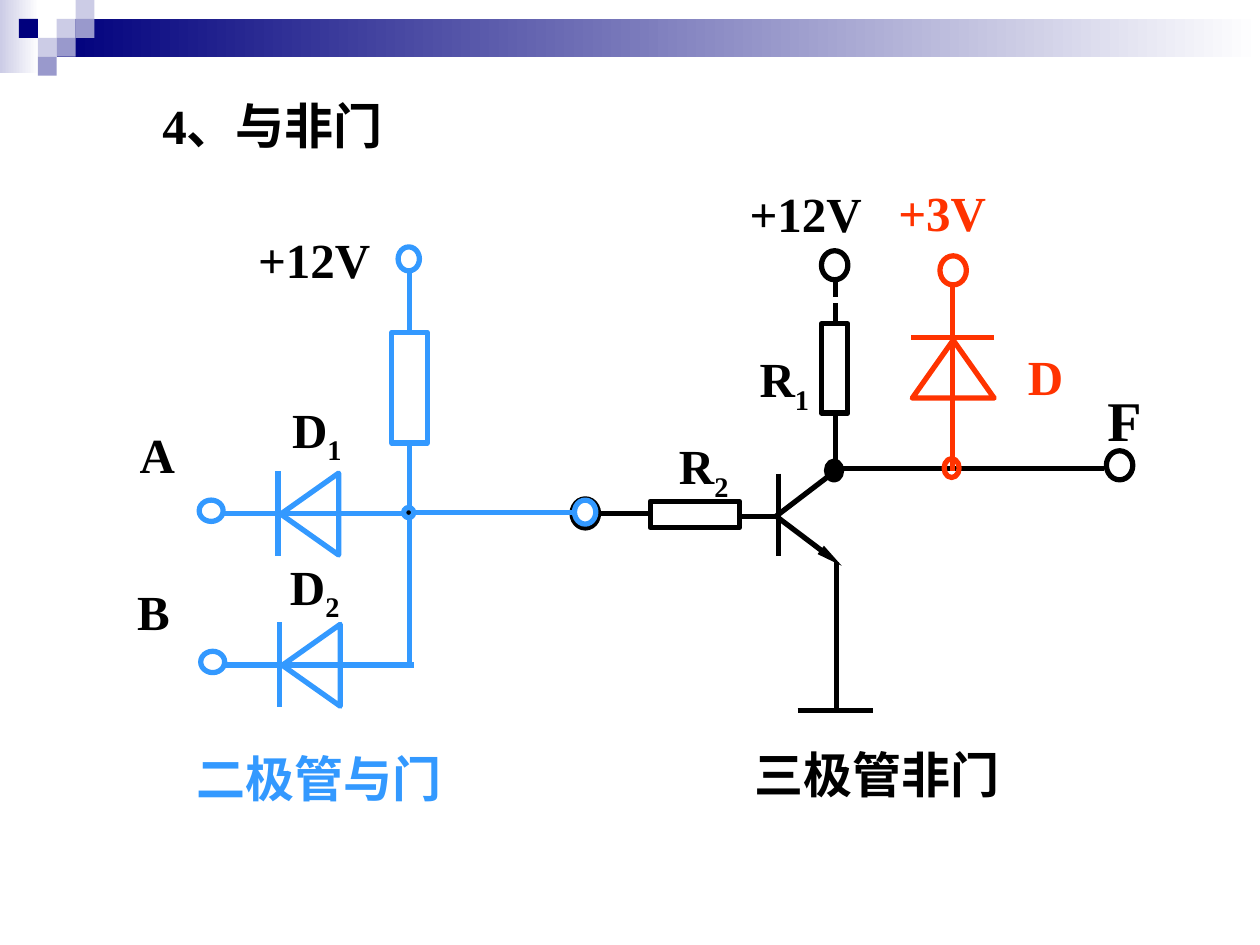
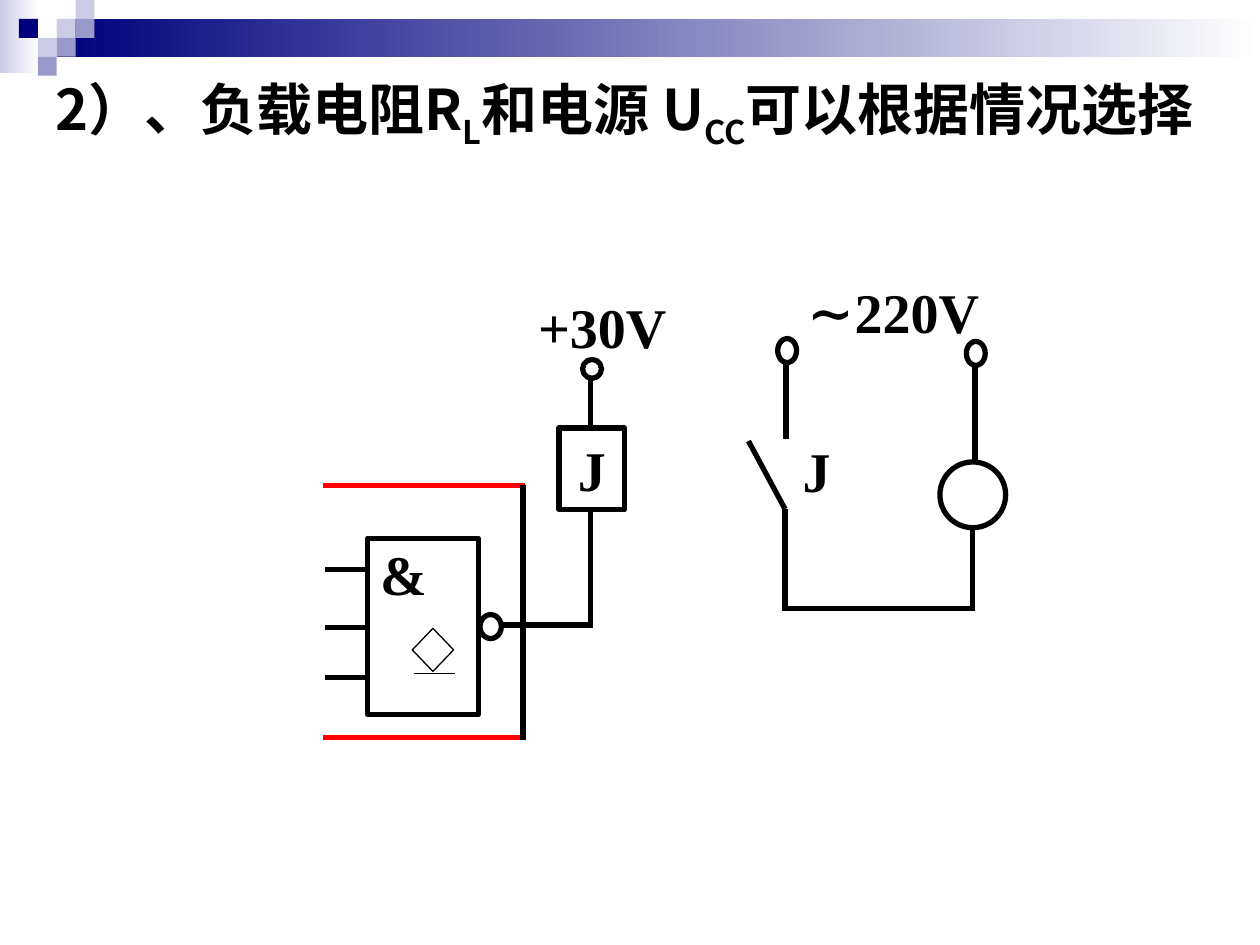
from dataclasses import dataclass
from typing import Optional, Union

import pptx
import pptx.dml.color
import pptx.enum.shapes
import pptx.enum.text
import pptx.oxml
import pptx.oxml.ns
import pptx.util

Pt = pptx.util.Pt
RGBColor = pptx.dml.color.RGBColor
Preset = pptx.enum.shapes.MSO_SHAPE

BLACK = RGBColor(0x00, 0x00, 0x00)
WHITE = RGBColor(0xFF, 0xFF, 0xFF)
BLUE = RGBColor(0x33, 0x99, 0xFF)
ORANGE = RGBColor(0xFF, 0x33, 0x00)
RED = RGBColor(0xFF, 0x00, 0x00)
NAVY = RGBColor(0x00, 0x00, 0x7D)
LAVENDER = RGBColor(0xCC, 0xCC, 0xE6)
VIOLET = RGBColor(0x99, 0x99, 0xCC)

SERIF = "Times New Roman"
SANS = "Noto Sans CJK SC"
TILE = 10.8
LABEL_HEIGHTS = {28: 41, 32: 45.4}


@dataclass
class Wire:
    x1: float
    y1: float
    x2: float
    y2: float
    color: RGBColor = BLACK
    width: float = 3
    arrow: bool = False


@dataclass
class Symbol:
    preset: Preset
    left: float
    top: float
    width: float
    height: float
    color: RGBColor = BLACK
    fill: Optional[RGBColor] = None
    line_width: float = 3
    rotation: float = 0
    text: str = ""


@dataclass
class Label:
    """Text in which every second fragment is a subscript."""
    left: float
    top: float
    width: float
    fragments: tuple[str, ...]
    color: RGBColor = BLACK
    size: int = 28
    font: str = SERIF


Element = Union[Wire, Symbol, Label]


def write_run(paragraph, text: str, label: Label, subscript: bool = False) -> None:
    run = paragraph.add_run()
    run.text = text
    font_format = {"name": label.font, "size": Pt(label.size), "bold": True}
    for attribute, value in font_format.items():
        setattr(run.font, attribute, value)
    run.font.color.rgb = label.color
    properties = run._r.get_or_add_rPr()
    if subscript:
        properties.set("baseline", "-25000")
    latin = properties.find(pptx.oxml.ns.qn("a:latin"))
    east_asian = pptx.oxml.parse_xml(
        f'<a:ea {pptx.oxml.ns.nsdecls("a")} typeface="{SANS}"/>')
    latin.addnext(east_asian)


def draw_wire(slide, wire: Wire) -> None:
    connector = slide.shapes.add_connector(
        pptx.enum.shapes.MSO_CONNECTOR.STRAIGHT,
        Pt(wire.x1), Pt(wire.y1), Pt(wire.x2), Pt(wire.y2))
    connector.line.color.rgb = wire.color
    connector.line.width = Pt(wire.width)
    namespace = pptx.oxml.ns.nsdecls("a")
    if wire.arrow:
        connector.line._get_or_add_ln().append(pptx.oxml.parse_xml(
            f'<a:tailEnd {namespace} type="triangle" w="sm" len="lg"/>'))
    connector._element.spPr.append(
        pptx.oxml.parse_xml(f"<a:effectLst {namespace}/>"))


def draw_symbol(slide, symbol: Symbol) -> None:
    shape = slide.shapes.add_shape(
        symbol.preset, Pt(symbol.left), Pt(symbol.top),
        Pt(symbol.width), Pt(symbol.height))
    shape.shadow.inherit = False
    shape.rotation = symbol.rotation
    shape.line.color.rgb = symbol.color
    shape.line.width = Pt(symbol.line_width)
    if symbol.fill is None:
        shape.fill.background()
    else:
        shape.fill.solid()
        shape.fill.fore_color.rgb = symbol.fill
    if symbol.text:
        shape.text_frame.word_wrap = False
        label = Label(0, 0, 0, (symbol.text,), size=32)
        write_run(shape.text_frame.paragraphs[0], symbol.text, label)


def draw_label(slide, label: Label) -> None:
    box = slide.shapes.add_textbox(
        Pt(label.left), Pt(label.top), Pt(label.width), Pt(LABEL_HEIGHTS[label.size]))
    box.text_frame.word_wrap = True
    for index, fragment in enumerate(label.fragments):
        write_run(box.text_frame.paragraphs[0], fragment, label, index % 2 == 1)


DRAWERS = {Wire: draw_wire, Symbol: draw_symbol, Label: draw_label}


def draw_band(slide, left: float, top: float, width: float, height: float,
              color: RGBColor, fades: bool = False) -> None:
    band = slide.shapes.add_shape(
        Preset.RECTANGLE, Pt(left), Pt(top), Pt(width), Pt(height))
    band.shadow.inherit = False
    band.line.fill.background()
    if fades:
        band.fill.gradient()
        band.fill.gradient_angle = 0
        for stop, stop_color, position in zip(
                band.fill.gradient_stops, (color, WHITE), (0, 1)):
            stop.color.rgb = stop_color
            stop.position = position
    else:
        band.fill.solid()
        band.fill.fore_color.rgb = color


def draw_header(slide) -> None:
    draw_band(slide, 0, 0, 22.3, 41.8, LAVENDER, fades=True)
    draw_band(slide, 32.4, TILE, 687.6, 2 * TILE, NAVY, fades=True)
    tiles = [(3, 1, LAVENDER), (4, 0, LAVENDER), (4, 1, VIOLET), (2, 2, LAVENDER),
             (1, 1, NAVY), (3, 2, VIOLET), (2, 3, VIOLET)]
    for column, row, color in tiles:
        draw_band(slide, column * TILE, row * TILE, TILE, TILE, color)


def circle(left: float, top: float, width: float, height: float,
           color: RGBColor = BLACK, fill: Optional[RGBColor] = None) -> Symbol:
    return Symbol(Preset.OVAL, left, top, width, height, color, fill)


def terminal(left: float, top: float, color: RGBColor = BLACK) -> Symbol:
    return circle(left, top, 15.1, 16.6, color)


def box(left: float, top: float, width: float, height: float,
        color: RGBColor = BLACK, text: str = "") -> Symbol:
    return Symbol(Preset.RECTANGLE, left, top, width, height, color, text=text)


def input_diode(dx: float, dy: float) -> list[Element]:
    """Input terminal, lead and diode pointing at the terminal."""
    return [
        Wire(158.9 + dx, 269.3 + dy, 158.9 + dx, 317.5 + dy, BLUE),
        Symbol(Preset.ISOSCELES_TRIANGLE, 153.6 + dx, 277.2 + dy, 46.8, 33.1,
               BLUE, rotation=270),
        Wire(127.4 + dx, 293.6 + dy, 235.4 + dx, 293.6 + dy, BLUE),
        circle(113.8 + dx, 285.8 + dy, 13.7, 12.2, BLUE),
    ]


def nand_gate() -> list[Element]:
    transistor = [
        Wire(445, 270.7, 445, 317.5),
        Wire(443.5, 295, 481, 323.3, arrow=True),
        Wire(443.5, 295, 481, 266.4),
        circle(472.3, 263.5, 8.6, 10.8, fill=BLACK),
        Wire(443.5, 295, 422.6, 295),
        Wire(476.6, 267.8, 630.7, 267.8),
        Wire(478.1, 321.1, 478.1, 406),
        Wire(455.8, 406, 499, 406),
    ]
    clamp_diode = [
        Wire(568.1, 193, 520.6, 193, ORANGE),
        Symbol(Preset.ISOSCELES_TRIANGLE, 521.3, 194.4, 46.8, 33.1, ORANGE),
        Wire(544.3, 161.3, 544.3, 269.3, ORANGE),
        circle(539.5, 262.1, 8.6, 10.8, ORANGE),
        terminal(537.1, 146.2, ORANGE),
    ]
    resistors_and_terminals = [
        Wire(370.8, 293.6, 342, 293.6),
        terminal(326.9, 285.1),
        terminal(632.2, 257.6),
        box(469.4, 185, 15.1, 51.1),
        Wire(477.4, 236.2, 477.4, 267.8),
        Wire(477.4, 185, 477.4, 173.1),
        Wire(477.4, 169.7, 477.4, 159.8),
        terminal(469.4, 143.3),
        box(371.5, 286.4, 51.1, 15.1),
    ]
    and_gate = [
        *input_diode(0, 0),
        *input_diode(0.9, 86.4),
        Wire(231.8, 292.8, 329.8, 292.8, BLUE),
        Wire(234, 381.4, 234, 253.4, BLUE),
        box(223.9, 189.8, 20.2, 63.4, BLUE),
        Wire(234, 190, 234, 154.1, BLUE),
        circle(227.5, 141.1, 12.2, 13.7, BLUE),
        circle(230.6, 290, 5.8, 5.8, BLUE, BLACK),
        circle(328.3, 285.8, 12.2, 13.7, BLUE),
    ]
    labels = [
        Label(85.7, 51.1, 290.9, ("4、与非门",)),
        Label(427, 195.8, 46.8, ("R", "1")),
        Label(380.9, 245.5, 46.8, ("R", "2")),
        Label(580.3, 194.4, 37.4, ("D",), ORANGE),
        Label(625.7, 216.7, 47.5, ("F",), size=32),
        Label(421.2, 101.5, 90, ("+12V",)),
        Label(506.2, 100.8, 90, ("+3V",), ORANGE),
        Label(159.8, 224.6, 49.7, ("D", "1")),
        Label(158.6, 314.6, 49.7, ("D", "2")),
        Label(72.7, 239, 43.2, ("A",)),
        Label(71.3, 329, 43.2, ("B",)),
        Label(140.4, 127.4, 103.7, ("+12V",)),
        Label(105.1, 424.1, 188.6, ("二极管与门",), BLUE),
        Label(424.1, 421.9, 192.2, ("三极管非门",)),
    ]
    return transistor + clamp_diode + resistors_and_terminals + and_gate + labels


def relay_load() -> list[Element]:
    lamp_circuit = [
        Wire(448.6, 290.9, 448.6, 349.2),
        Wire(448.6, 347.8, 557.3, 347.8),
        Wire(448.6, 290.9, 427.7, 252),
        Wire(449.1, 250.6, 449.1, 207.4),
        circle(444.4, 193.5, 10.8, 13.7),
        circle(537.1, 264, 37.6, 37.6),
        Wire(555.7, 349.2, 555.7, 301.7),
        Wire(557.1, 264.2, 557.1, 208.8),
        circle(552.2, 195.1, 10.8, 13.7),
    ]
    gate_and_relay = [
        box(210.2, 307.6, 63.1, 100.9),
        circle(274.3, 351.2, 12.2, 13.7),
        *(Wire(185.8, y, 210.2, y) for y in (325.4, 358.6, 387.2)),
        Wire(285.1, 357.1, 339, 357.1),
        box(319.5, 244.6, 37.4, 46.6, text="J"),
        Wire(337.5, 357.1, 337.5, 291),
        Wire(337.5, 244.6, 337.5, 216),
        circle(332.9, 205.4, 10.8, 10.8),
        *(Wire(184.5, y, 300.2, y, RED) for y in (277.4, 421.5)),
        Wire(298.9, 277.4, 298.9, 423),
        Symbol(Preset.DIAMOND, 235.6, 359.1, 23.6, 24.6, fill=WHITE, line_width=0.75),
        Wire(236.4, 384.7, 260, 384.7, width=0.75),
    ]
    labels = [
        Label(24.5, 38.9, 720,
              ("2）、负载电阻R", "L", "和电源 U", "CC", "可以根据情况选择"),
              size=32, font=SANS),
        Label(300.4, 163.4, 118, ("+30V",), size=32),
        Label(454.4, 154.8, 131, ("∼220V",), size=32),
        Label(451.6, 246.2, 48.2, ("J",), size=32),
        Label(210.2, 304.6, 44.6, ("&",), size=32),
    ]
    return lamp_circuit + gate_and_relay + labels


def main() -> None:
    presentation = pptx.Presentation()
    presentation.slide_width = Pt(720)
    presentation.slide_height = Pt(540)
    for elements in (nand_gate(), relay_load()):
        slide = presentation.slides.add_slide(presentation.slide_layouts[6])
        draw_header(slide)
        for element in elements:
            DRAWERS[type(element)](slide, element)
    presentation.save("out.pptx")


if __name__ == "__main__":
    main()
